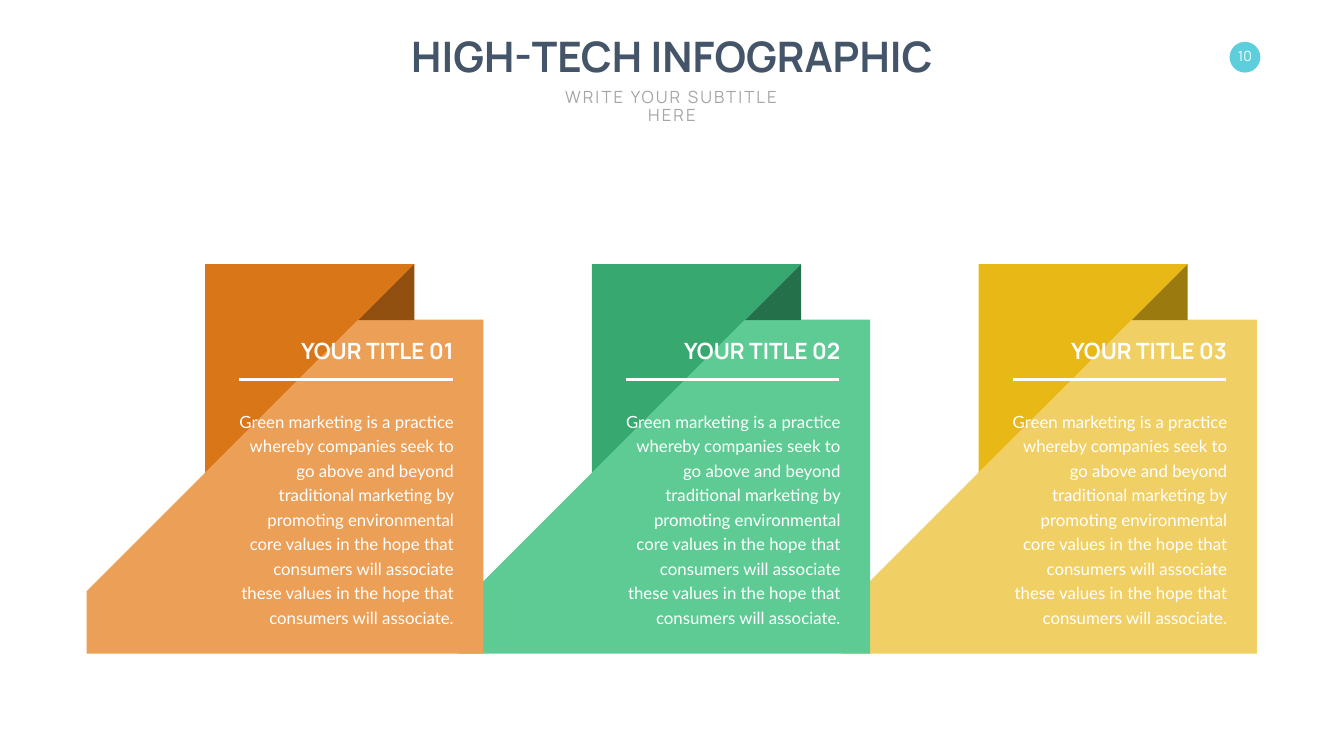
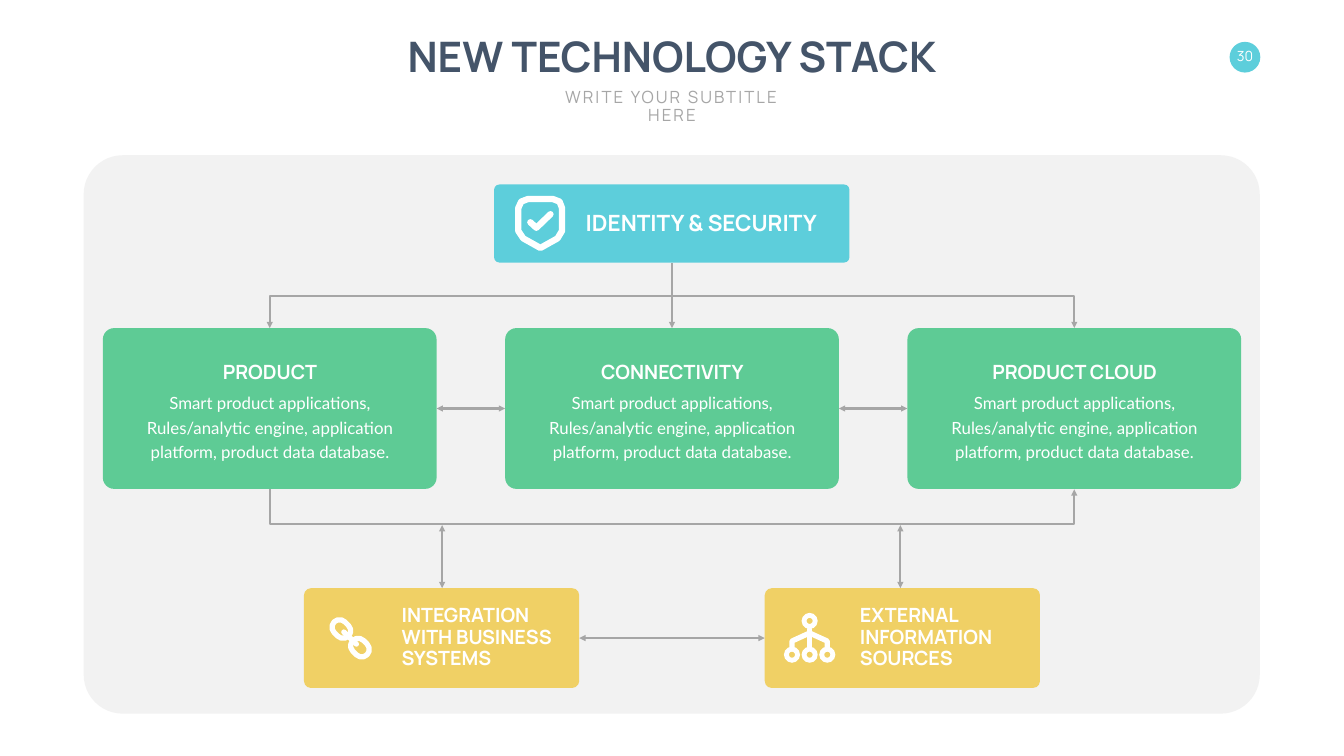
import lxml.etree
import pptx
import pptx.dml.color
import pptx.enum.shapes
import pptx.enum.text
import pptx.oxml.ns
import pptx.util

COLORS = {
    "heading": "445469", "gray": "A6A6A6", "panel": "F2F2F2", "white": "FFFFFF",
    "blue": "5DCEDB", "green": "5ECB95", "yellow": "F0D065", "orange": "EC9F56",
    "deep green": "36A870", "deep yellow": "E8B817", "deep orange": "D97618",
    "dark green": "24704B", "dark yellow": "9B7B0F", "dark orange": "914F10",
}
COLUMNS, ROWS = 26.66, 15
CENTER = COLUMNS / 2
HEADING_FONT, BODY_FONT = "Manrope", "Lato"
SHAPES = pptx.enum.shapes.MSO_SHAPE
CONNECTORS = pptx.enum.shapes.MSO_CONNECTOR
ALIGN = pptx.enum.text.PP_ALIGN
ANCHOR = pptx.enum.text.MSO_ANCHOR

MARKETING = (
    "Green marketing is a practice whereby companies seek to go above and beyond "
    "traditional marketing by promoting environmental core values in the hope that "
    "consumers will associate these values in the hope that consumers will associate."
)
APPLICATIONS = (
    "Smart product applications, Rules/analytic engine, application platform, "
    "product data database."
)


def grid(cells):
    """Return the length of a number of one-inch grid cells."""
    return pptx.util.Inches(cells)


def rgb(name):
    """Return a named palette colour."""
    return pptx.dml.color.RGBColor.from_string(COLORS[name])


def place(shape, left, top, width, height):
    """Move and size a shape on the grid."""
    shape.left, shape.top = grid(left), grid(top)
    shape.width, shape.height = grid(width), grid(height)


def write(shape, lines, size, color="white", font=HEADING_FONT, bold=False,
          align=ALIGN.CENTER, anchor=ANCHOR.TOP, spacing=0.9, tracking=0, inset=None):
    """Fill a shape with uniformly formatted lines of text."""
    frame = shape.text_frame
    frame.auto_size = pptx.enum.text.MSO_AUTO_SIZE.NONE
    frame.word_wrap = True
    frame.vertical_anchor = anchor
    if inset is not None:
        frame.margin_left = frame.margin_right = grid(inset)
        frame.margin_top = frame.margin_bottom = grid(inset)
    frame.text = lines
    for paragraph in frame.paragraphs:
        paragraph.alignment = align
        paragraph.line_spacing = spacing
        paragraph.space_before = pptx.util.Pt(0)
        paragraph.font.name = font
        paragraph.font.size = pptx.util.Pt(size)
        paragraph.font.bold = bold
        paragraph.font.color.rgb = rgb(color)
        if tracking:
            for run in paragraph.runs:
                run._r.get_or_add_rPr().set("spc", str(tracking * 100))


def add_text(slide, box, lines, size, **style):
    """Add a text box."""
    shape = slide.shapes.add_textbox(*map(grid, box))
    write(shape, lines, size, **style)


def add_body(slide, box, text, align):
    """Add a white passage with fixed line spacing."""
    add_text(slide, box, text, 24, font=BODY_FONT, align=align,
             spacing=pptx.util.Pt(35))


def paint(shape, fill=None, stroke=0):
    """Give a shape a plain fill, or a white rounded outline."""
    shape.shadow.inherit = False
    if fill:
        shape.fill.solid()
        shape.fill.fore_color.rgb = rgb(fill)
        shape.line.fill.background()
        return
    shape.fill.background()
    shape.line.color.rgb = rgb("white")
    shape.line.width = pptx.util.Pt(stroke)
    line = shape.line._get_or_add_ln()
    line.set("cap", "rnd")
    lxml.etree.SubElement(line, pptx.oxml.ns.qn("a:round"))


def add_box(slide, kind, box, adjustment=None, fill=None, stroke=0):
    """Add a preset shape."""
    shape = slide.shapes.add_shape(kind, *map(grid, box))
    if adjustment is not None:
        shape.adjustments[0] = adjustment
    paint(shape, fill, stroke)
    return shape


def add_panel(slide, box, fill):
    """Add a softly rounded panel."""
    add_box(slide, SHAPES.ROUNDED_RECTANGLE, box, 0.07, fill)


def add_outline(slide, points, fill=None, stroke=0, close=True):
    """Add a freeform through grid points."""
    start, *rest = [(grid(x), grid(y)) for x, y in points]
    builder = slide.shapes.build_freeform(*start)
    builder.add_line_segments(rest, close=close)
    paint(builder.convert_to_shape(), fill, stroke)


def finish_connector(connector, both_ends=False):
    """Style a connector as a gray arrow."""
    connector.line.color.rgb = rgb("gray")
    connector.line.width = pptx.util.Pt(3)
    line = connector.line._get_or_add_ln()
    for end in (["headEnd"] if both_ends else []) + ["tailEnd"]:
        lxml.etree.SubElement(line, pptx.oxml.ns.qn(f"a:{end}"), type="triangle")
    lxml.etree.SubElement(connector._element.spPr, pptx.oxml.ns.qn("a:effectLst"))


def add_arrow(slide, start, end, both_ends=True):
    """Add a straight arrow."""
    connector = slide.shapes.add_connector(
        CONNECTORS.STRAIGHT, *map(grid, start + end))
    finish_connector(connector, both_ends)


def add_elbow(slide, start, end, bend=0.5):
    """Add an arrow that leaves downwards, runs sideways and turns again."""
    across, down = abs(end[0] - start[0]), end[1] - start[1]
    left = (start[0] + end[0] - down) / 2
    top = (start[1] + end[1] - across) / 2
    connector = slide.shapes.add_connector(
        CONNECTORS.ELBOW, grid(left), grid(top), grid(left + down), grid(top + across))
    transform = connector._element.spPr.find(pptx.oxml.ns.qn("a:xfrm"))
    rightward = end[0] > start[0]
    transform.set("rot", str((270 if rightward else 90) * 60000))
    if rightward:
        transform.set("flipH", "1")
    geometry = connector._element.spPr.find(pptx.oxml.ns.qn("a:prstGeom"))
    adjustments = geometry.find(pptx.oxml.ns.qn("a:avLst"))
    if adjustments is None:
        adjustments = lxml.etree.SubElement(geometry, pptx.oxml.ns.qn("a:avLst"))
    lxml.etree.SubElement(adjustments, pptx.oxml.ns.qn("a:gd"),
                          name="adj1", fmla=f"val {round(bend * 100000)}")
    finish_connector(connector)


def add_slide(presentation, title, number):
    """Add a slide with its title, subtitle and page badge."""
    slide = presentation.slides.add_slide(presentation.slide_layouts[0])
    subtitle = slide.placeholders[1]
    place(slide.shapes.title, CENTER - 7, 0.67, 14, 1.11)
    write(slide.shapes.title, title, 60, "heading", bold=True)
    place(subtitle, CENTER - 2.71, 1.72, 5.42, 0.9)
    write(subtitle, "WRITE YOUR SUBTITLE HERE", 24, "gray", tracking=3)
    badge = (24.39, 0.83, 0.61, 0.61)
    add_box(slide, SHAPES.OVAL, badge, fill="blue")
    add_text(slide, badge, number, 20, anchor=ANCHOR.MIDDLE, inset=0)
    return slide


def add_ribbon(slide, corner, left, hue):
    """Add a folded ribbon whose fold ends at the corner column."""
    top, shoulder, bottom = 5.24, 6.34, 12.97
    flap, fold = 4.15, 1.11
    notch, right = corner - fold, corner + 1.37
    add_outline(slide, [(corner, top), (corner - flap, top),
                        (corner - flap, top + flap)], f"deep {hue}")
    add_outline(slide, [(notch, shoulder), (left, shoulder + notch - left),
                        (left, bottom), (right, bottom), (right, shoulder)], hue)
    add_outline(slide, [(corner, top), (notch, top + fold),
                        (corner, top + fold)], f"dark {hue}")


def add_ribbon_text(slide, corner, title):
    """Add the heading, rule and passage of a ribbon."""
    left, width = corner - 3.72, 4.6
    start, end = corner - 3.47, corner + 0.76
    add_outline(slide, [(start, 7.51), (end, 7.51), (end, 7.56), (start, 7.56)], "white")
    add_body(slide, (left, 8.03, width, 4.47), MARKETING, ALIGN.RIGHT)
    add_text(slide, (left, 6.63, width, 0.64), title, 32, bold=True,
             align=ALIGN.RIGHT, anchor=ANCHOR.BOTTOM)


def add_shield(slide):
    """Add a shield icon with a check mark."""
    add_outline(slide, [
        (10.28, 4.13), (10.34, 4), (10.47, 3.95), (10.97, 3.95), (11.1, 4),
        (11.15, 4.13), (11.15, 4.58), (11.06, 4.73), (10.72, 4.92),
        (10.38, 4.73), (10.28, 4.58)], stroke=9)
    add_outline(slide, [(10.52, 4.41), (10.64, 4.52), (10.92, 4.25)],
                stroke=9, close=False)


def add_chain(slide):
    """Add an icon of two chain links."""
    width, height = 0.4, 0.3
    for x, y in ((6.77, 12.48), (7.14, 12.85)):
        link = add_box(slide, SHAPES.ROUNDED_RECTANGLE,
                       (x - width / 2, y - height / 2, width, height), 0.5, stroke=7.5)
        link.rotation = 45
    add_outline(slide, [(6.82, 12.54), (7.07, 12.78)], stroke=7.5, close=False)


def add_network(slide):
    """Add an icon of one node that branches into three."""
    center, step, diameter = 16.06, 0.35, 0.32
    upper, lower = 12.32, 12.99
    nodes = [(center, upper)] + [(center + k * step, lower) for k in (-1, 0, 1)]
    for x, y in nodes:
        add_box(slide, SHAPES.DONUT, (x - diameter / 2, y - diameter / 2,
                                     diameter, diameter), 0.31, fill="white")
    add_outline(slide, [(center - step, 12.87), (center - step, 12.72), (center, 12.56),
                        (center + step, 12.72), (center + step, 12.87)],
                stroke=7.5, close=False)
    add_outline(slide, [(center, 12.48), (center, 12.85)], stroke=7.5, close=False)


def build_infographic(presentation):
    """Build the slide of three folded ribbons."""
    slide = add_slide(presentation, "HIGH-TECH INFOGRAPHIC", "10")
    ribbons = [(8.22 + 7.67 * index, left, hue) for index, (left, hue) in
               enumerate([(1.72, "orange"), (9.1, "green"), (16.71, "yellow")])]
    for ribbon in reversed(ribbons):
        add_ribbon(slide, *ribbon)
    for number, (corner, _, _) in enumerate(ribbons, 1):
        add_ribbon_text(slide, corner, f"YOUR TITLE {number:02}")


def build_stack(presentation):
    """Build the technology stack diagram."""
    slide = add_slide(presentation, "NEW TECHNOLOGY STACK", "30")
    pitch, width, top, height = 7.98, 6.62, 6.51, 3.19
    bottom, middle = top + height, top + height / 2
    centers = [CENTER + pitch * k for k in (-1, 0, 1)]
    left, _, right = centers

    add_panel(slide, (1.66, 3.08, 23.33, 11.08), "panel")
    add_panel(slide, (9.8, 3.66, 7.05, 1.55), "blue")
    add_text(slide, (11.52, 4.12, 5.2, 0.64), "IDENTITY & SECURITY", 32, bold=True,
             align=ALIGN.LEFT, anchor=ANCHOR.MIDDLE)
    add_shield(slide)

    for x, title in zip(centers, ("PRODUCT", "CONNECTIVITY", "PRODUCT CLOUD")):
        add_panel(slide, (x - width / 2, top, width, height), "green")
        add_text(slide, (x - 3.08, 7.1, 6.17, 0.57), title, 28, bold=True,
                 anchor=ANCHOR.BOTTOM)
        add_body(slide, (x - 3.08, 7.66, 6.17, 1.52), APPLICATIONS, ALIGN.CENTER)

    sources = [(6.03, 7.87, "INTEGRATION\nWITH BUSINESS\nSYSTEMS"),
               (15.17, 16.96, "EXTERNAL\nINFORMATION\nSOURCES")]
    for box_left, text_left, title in sources:
        add_panel(slide, (box_left, 11.67, 5.46, 1.98), "yellow")
        add_text(slide, (text_left, 11.9, 3.5, 1.51), title, 28, bold=True,
                 align=ALIGN.LEFT, anchor=ANCHOR.MIDDLE)
    add_chain(slide)
    add_network(slide)

    for x in centers[:2]:
        add_arrow(slide, (x + width / 2, middle), (x + pitch - width / 2, middle))
    for x in (right, left):
        add_elbow(slide, (CENTER, 5.22), (x, top))
    add_arrow(slide, (CENTER, 5.22), (CENTER, top), both_ends=False)
    add_elbow(slide, (left, bottom), (right, bottom + 0.01), bend=70)
    add_arrow(slide, (11.49, 12.66), (15.17, 12.66))
    for x in (8.77, 17.86):
        add_arrow(slide, (x, 10.42), (x, 11.67))


def main():
    """Build and save the presentation."""
    presentation = pptx.Presentation()
    presentation.slide_width = grid(COLUMNS)
    presentation.slide_height = grid(ROWS)
    build_infographic(presentation)
    build_stack(presentation)
    presentation.save("out.pptx")


if __name__ == "__main__":
    main()
